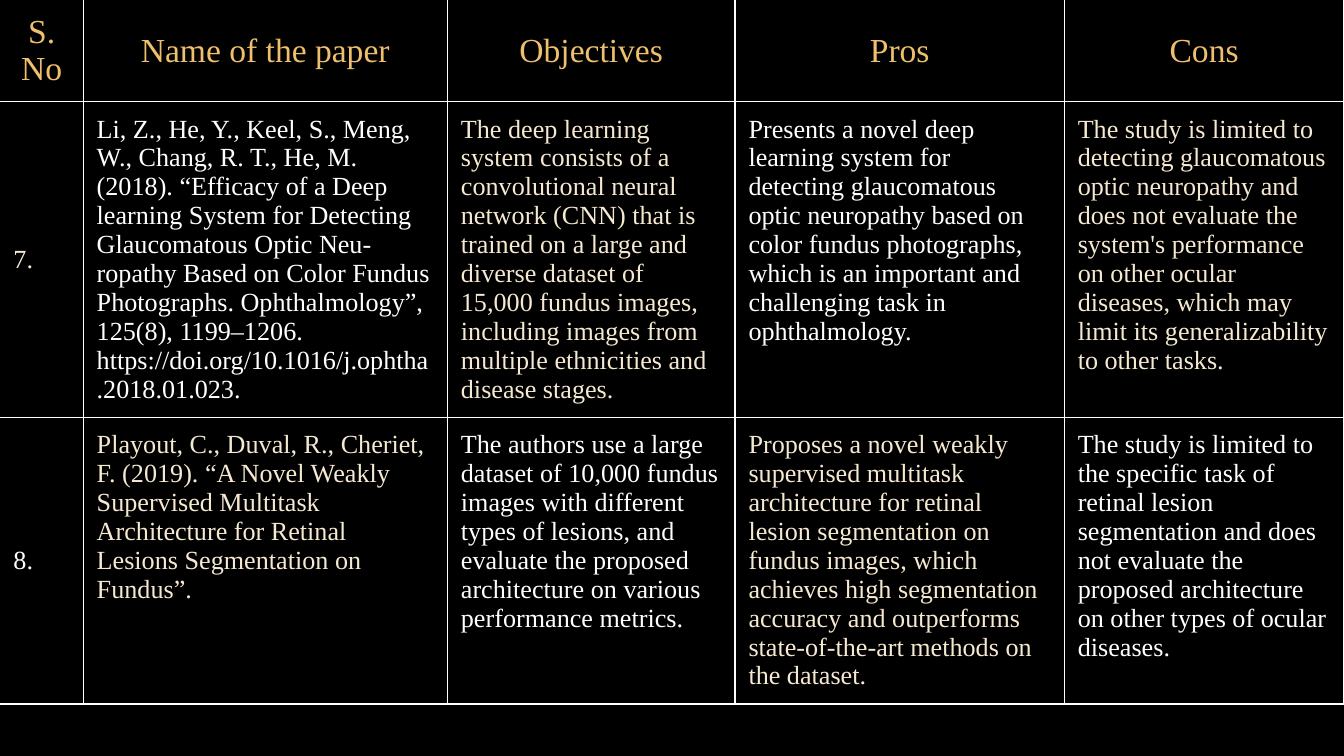
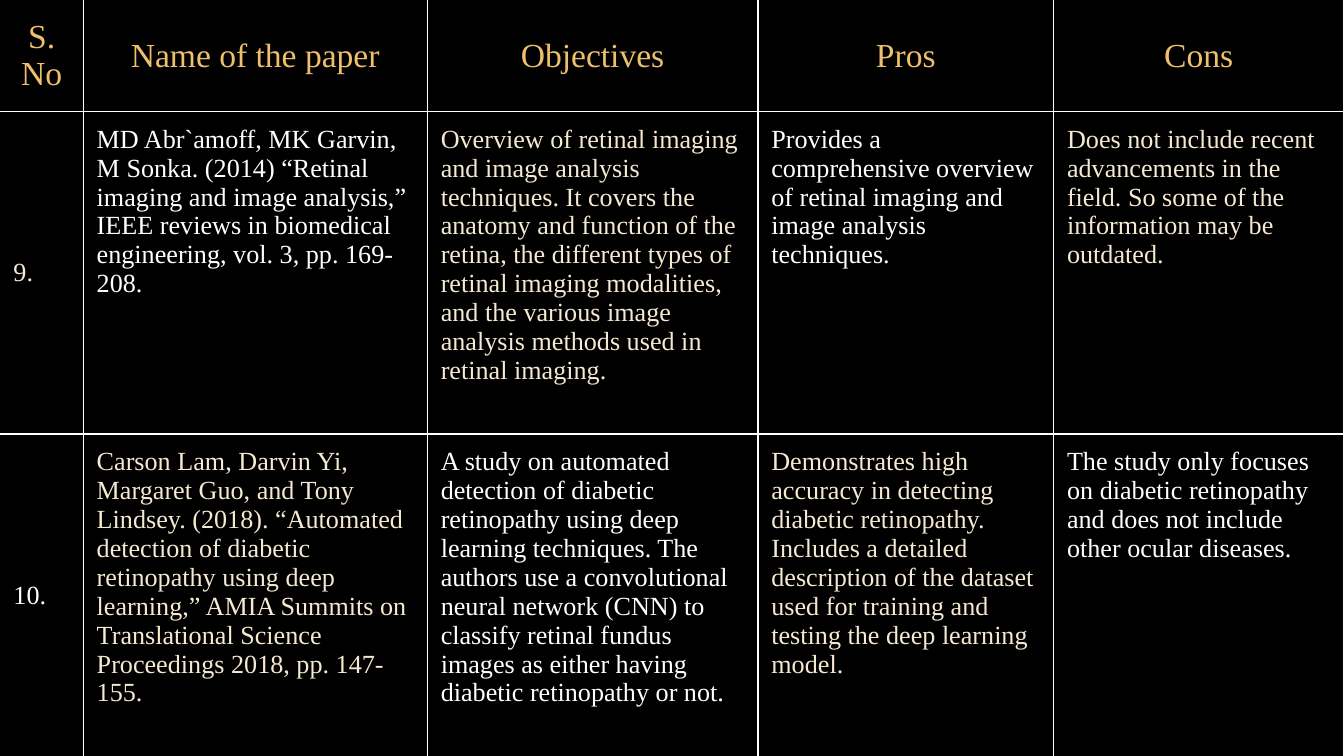
from lxml.etree import SubElement
from pptx import Presentation
from pptx.dml.color import RGBColor
from pptx.enum.text import MSO_ANCHOR, PP_ALIGN
from pptx.oxml.ns import qn
from pptx.util import Inches, Pt

SLIDE_WIDTH = Inches(10)
SLIDE_HEIGHT = SLIDE_WIDTH * 9 // 16
FONT = "Times New Roman"
BLACK, WHITE, GOLD, CREAM = "000000", "FFFFFF", "EEBF6C", "F6E9D1"
INNER_LINE, OUTER_LINE = (WHITE, 0.75), (BLACK, 2.25)
CELL_MARGIN = 0.1
HEADINGS = ("S. No", "Name of the paper", "Objectives", "Pros", "Cons")

# Row heights are minimums: rows grow to hold their text.
SURVEYS = [
    {
        "widths": (0.62, 2.71, 2.14, 2.45, 2.08),
        "heights": (0.57, 0.81, 0.71),
        "papers": [
            ("7.",
             "Li, Z., He, Y., Keel, S., Meng, W., Chang, R. T., He, M. (2018). “Efficacy of a Deep "
             "learning System for Detecting Glaucomatous Optic Neu-ropathy Based on Color Fundus "
             "Photographs. Ophthalmology”, 125(8), 1199–1206. "
             "https://doi.org/10.1016/j.ophtha.2018.01.023.",
             "The deep learning system consists of a convolutional neural network (CNN) that is "
             "trained on a large and diverse dataset of 15,000 fundus images, including images "
             "from multiple ethnicities and disease stages.",
             "Presents a novel deep learning system for detecting glaucomatous optic neuropathy "
             "based on color fundus photographs, which is an important and challenging task in "
             "ophthalmology.",
             "The study is limited to detecting glaucomatous optic neuropathy and does not "
             "evaluate the system's performance on other ocular diseases, which may limit its "
             "generalizability to other tasks."),
            ("8.",
             "Playout, C., Duval, R., Cheriet, F. (2019). “A Novel Weakly Supervised Multitask "
             "Architecture for Retinal Lesions Segmentation on Fundus”.",
             "The authors use a large dataset of 10,000 fundus images with different types of "
             "lesions, and evaluate the proposed architecture on various performance metrics.",
             "Proposes a novel weakly supervised multitask architecture for retinal lesion "
             "segmentation on fundus images, which achieves high segmentation accuracy and "
             "outperforms state-of-the-art methods on the dataset.",
             "The study is limited to the specific task of retinal lesion segmentation and does "
             "not evaluate the proposed architecture on other types of ocular diseases."),
        ],
    },
    {
        "widths": (0.62, 2.56, 2.46, 2.2, 2.16),
        "heights": (0.83, 2.4, 2.4),
        "papers": [
            ("9.",
             "MD Abr`amoff, MK Garvin, M Sonka. (2014) “Retinal imaging and image analysis,” IEEE "
             "reviews in biomedical engineering, vol. 3, pp. 169-208.",
             "Overview of retinal imaging and image analysis techniques. It covers the anatomy "
             "and function of the retina, the different types of retinal imaging modalities, and "
             "the various image analysis methods used in retinal imaging.",
             "Provides a comprehensive overview of retinal imaging and image analysis techniques.",
             "Does not include recent advancements in the field. So some of the information may "
             "be outdated."),
            ("10.",
             "Carson Lam, Darvin Yi, Margaret Guo, and Tony Lindsey. (2018). “Automated detection "
             "of diabetic retinopathy using deep learning,” AMIA Summits on Translational Science "
             "Proceedings 2018, pp. 147-155.",
             "A study on automated detection of diabetic retinopathy using deep learning "
             "techniques. The authors use a convolutional neural network (CNN) to classify "
             "retinal fundus images as either having diabetic retinopathy or not.",
             "Demonstrates high accuracy in detecting diabetic retinopathy.\n"
             "Includes a detailed description of the dataset used for training and testing the "
             "deep learning model.",
             "The study only focuses on diabetic retinopathy and does not include other ocular "
             "diseases."),
        ],
    },
]


def rgb(value):
    return RGBColor.from_string(value)


def write(cell, text, size=14, color=WHITE, align=PP_ALIGN.LEFT, anchor=MSO_ANCHOR.TOP):
    """Fill a cell with text; each line becomes a paragraph."""
    cell.text_frame.text = text
    cell.vertical_anchor = anchor
    cell.margin_left = cell.margin_right = Inches(CELL_MARGIN)
    cell.margin_top = cell.margin_bottom = Inches(CELL_MARGIN)
    for paragraph in cell.text_frame.paragraphs:
        paragraph.alignment = align
        for run in paragraph.runs:
            run.font.name = FONT
            run.font.size = Pt(size)
            run.font.bold = False
            run.font.color.rgb = rgb(color)


def draw_borders(cell, row, column):
    """Rule the cell in white, hiding the table's left and top edges in black."""
    properties = cell._tc.get_or_add_tcPr()
    sides = {
        "a:lnL": INNER_LINE if column else OUTER_LINE,
        "a:lnR": INNER_LINE,
        "a:lnT": INNER_LINE if row else OUTER_LINE,
        "a:lnB": INNER_LINE,
    }
    for side, (color, width) in sides.items():
        line = SubElement(properties, qn(side), w=str(Pt(width)))
        SubElement(SubElement(line, qn("a:solidFill")), qn("a:srgbClr"), val=color)
        SubElement(line, qn("a:prstDash"), val="solid")


def cell_format(row, column):
    if row == 0:
        return {"size": 18, "color": GOLD, "align": PP_ALIGN.CENTER, "anchor": MSO_ANCHOR.MIDDLE}
    look = {"color": WHITE if (row + column) % 2 == 0 else CREAM}
    if column == 0:
        look.update(align=PP_ALIGN.JUSTIFY, anchor=MSO_ANCHOR.MIDDLE)
    return look


def add_survey(presentation, widths, heights, papers):
    slide = presentation.slides.add_slide(presentation.slide_layouts[6])
    slide.background.fill.solid()
    slide.background.fill.fore_color.rgb = rgb(BLACK)

    frame = slide.shapes.add_table(len(heights), len(widths), 0, 0, SLIDE_WIDTH, SLIDE_HEIGHT)
    table = frame.table
    table.first_row = table.horz_banding = False
    for column, width in zip(table.columns, widths):
        column.width = Inches(width)
    for row, height in zip(table.rows, heights):
        row.height = Inches(height)
    frame.width, frame.height = SLIDE_WIDTH, SLIDE_HEIGHT

    for r, entries in enumerate([HEADINGS, *papers]):
        for c, entry in enumerate(entries):
            cell = table.cell(r, c)
            write(cell, entry, **cell_format(r, c))
            draw_borders(cell, r, c)
            cell.fill.background()


def main():
    presentation = Presentation()
    presentation.slide_width = SLIDE_WIDTH
    presentation.slide_height = SLIDE_HEIGHT
    for survey in SURVEYS:
        add_survey(presentation, **survey)
    presentation.save("out.pptx")


if __name__ == "__main__":
    main()
